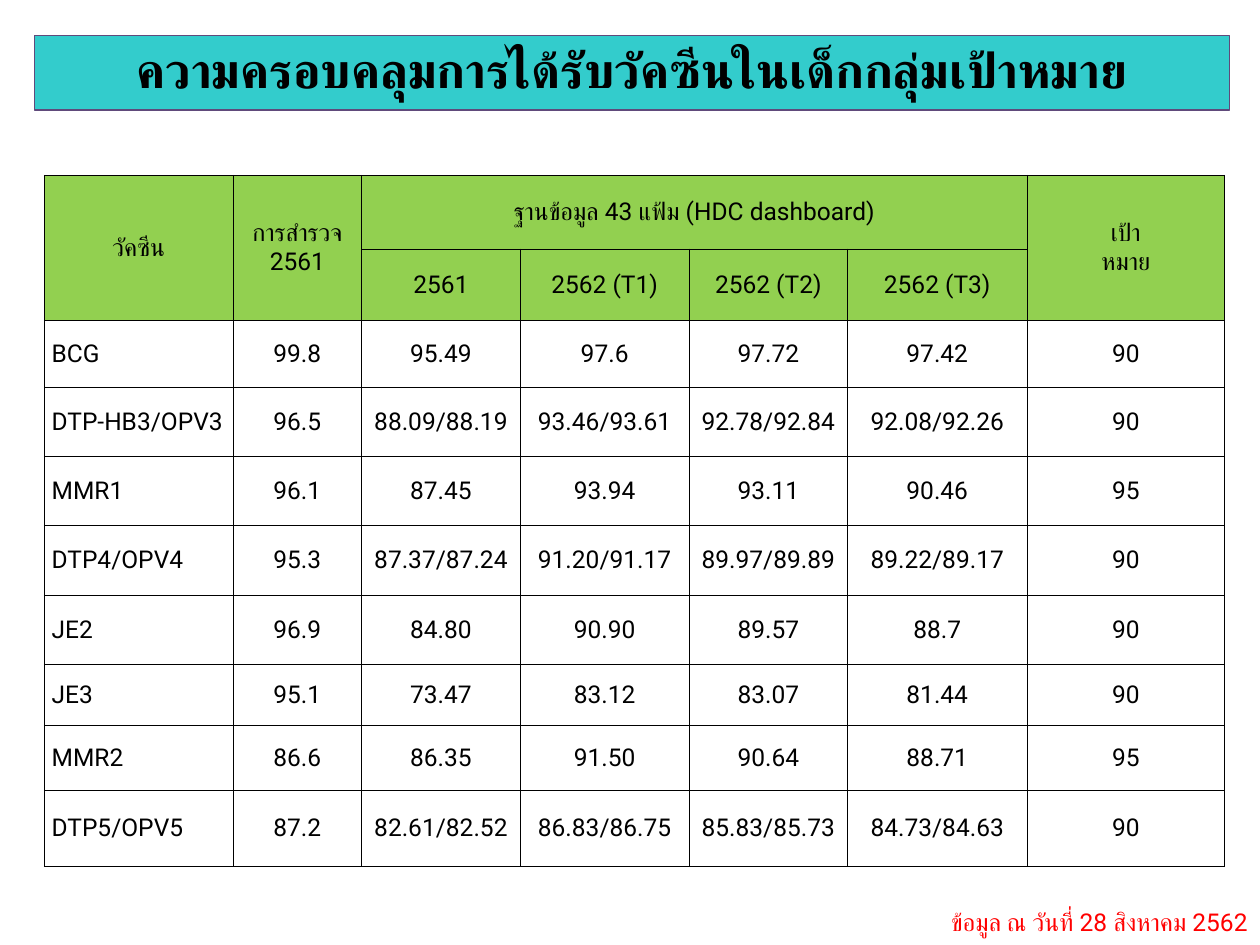
from lxml import etree
from pptx import Presentation
from pptx import util as u
from pptx.dml.color import RGBColor
from pptx.enum import text
from pptx.oxml import parse_xml
from pptx.oxml.ns import nsdecls, qn

FONT = "Roboto"
CENTER, LEFT, RIGHT = text.PP_ALIGN.CENTER, text.PP_ALIGN.LEFT, text.PP_ALIGN.RIGHT


def color(hex_string):
    return RGBColor.from_string(hex_string)


def write(frame, words, size=14, hex_color="000000", bold=False, align=CENTER, spacing=None):
    """Fill a text frame; a newline starts a paragraph and a vertical tab breaks a line."""
    frame.text = words
    for paragraph in frame.paragraphs:
        paragraph.alignment = align
        paragraph.line_spacing = spacing
        for run in paragraph.runs:
            run.font.name = FONT
            run.font.size = u.Pt(size)
            run.font.bold = bold
            run.font.color.rgb = color(hex_color)
            # Thai letters take the complex-script font
            etree.SubElement(run.font._element, qn("a:cs")).set("typeface", FONT)


presentation = Presentation()
presentation.slide_width, presentation.slide_height = u.Cm(25.4), u.Cm(19.05)
slide = presentation.slides.add_slide(presentation.slide_layouts[5])

# Title banner
title = slide.shapes.title
title.left, title.top, title.width, title.height = u.Cm(0.69), u.Cm(0.72), u.Cm(24.1), u.Cm(1.5)
title.fill.solid()
title.fill.fore_color.rgb = color("33CCCC")
title.line.color.rgb = color("604A7B")
title.line.width = u.Pt(0.75)
write(title.text_frame, "ความครอบคลุมการได้รับวัคซีนในเด็กกลุ่มเป้าหมาย", size=28, bold=True, spacing=0.9)
title.text_frame.auto_size = text.MSO_AUTO_SIZE.NONE
title.text_frame.vertical_anchor = text.MSO_ANCHOR.MIDDLE

# Date of the data
date_box = slide.shapes.add_textbox(u.Cm(13.59), u.Cm(18.16), u.Cm(11.81), u.Cm(0.86))
date_box.text_frame.word_wrap = True
write(date_box.text_frame, "ข้อมูล ณ วันที่ 28 สิงหาคม 2562", hex_color="FF0000", align=RIGHT)

# Coverage table
HEADER_ROWS = 2
rows = [
    ["วัคซีน", "การสำรวจ\n2561", "ฐานข้อมูล 43 แฟ้ม (HDC dashboard)", "", "", "", "เป้า\vหมาย"],
    ["", "", "2561", "2562 (T1)", "2562 (T2)", "2562 (T3)", ""],
    ["BCG", "99.8", "95.49", "97.6", "97.72", "97.42", "90"],
    ["DTP-HB3/OPV3", "96.5", "88.09/88.19", "93.46/93.61", "92.78/92.84", "92.08/92.26", "90"],
    ["MMR1", "96.1", "87.45", "93.94", "93.11", "90.46", "95"],
    ["DTP4/OPV4", "95.3", "87.37/87.24", "91.20/91.17", "89.97/89.89", "89.22/89.17", "90"],
    ["JE2", "96.9", "84.80", "90.90", "89.57", "88.7", "90"],
    ["JE3", "95.1", "73.47", "83.12", "83.07", "81.44", "90"],
    ["MMR2", "86.6", "86.35", "91.50", "90.64", "88.71", "95"],
    ["DTP5/OPV5", "87.2", "82.61/82.52", "86.83/86.75", "85.83/85.73", "84.73/84.63", "90"],
]
column_widths = [3.81, 2.59, 3.2, 3.4, 3.2, 3.61, 3.99]
row_heights = [1.49, 1.3, 1.34, 1.4, 1.4, 1.4, 1.4, 1.22, 1.32, 1.52]

table = slide.shapes.add_table(
    len(rows), len(column_widths), u.Cm(0.89), u.Cm(3.53),
    u.Cm(sum(column_widths)), u.Cm(sum(row_heights)),
).table
table.horz_banding = False
for column, width in zip(table.columns, column_widths):
    column.width = u.Cm(width)
for row, height in zip(table.rows, row_heights):
    row.height = u.Cm(height)

for row_index, values in enumerate(rows):
    is_header = row_index < HEADER_ROWS
    for column_index, value in enumerate(values):
        cell = table.cell(row_index, column_index)
        is_vaccine_name = column_index == 0 and not is_header
        write(cell.text_frame, value, align=LEFT if is_vaccine_name else CENTER)
        cell.vertical_anchor = text.MSO_ANCHOR.MIDDLE
        cell.margin_left = u.Cm(0.15 if is_vaccine_name else 0.03)
        cell.margin_right = u.Cm(0.03)
        cell_properties = cell._tc.get_or_add_tcPr()
        for side in ("lnL", "lnR", "lnT", "lnB"):
            cell_properties.append(parse_xml(
                f'<a:{side} {nsdecls("a")} w="{u.Pt(0.45)}"><a:solidFill>'
                f'<a:srgbClr val="000000"/></a:solidFill></a:{side}>'
            ))
        cell.fill.solid()
        cell.fill.fore_color.rgb = color("92D050" if is_header else "FFFFFF")

for column_index in (0, 1, 6):
    table.cell(0, column_index).merge(table.cell(1, column_index))
table.cell(0, 2).merge(table.cell(0, 5))

presentation.save("out.pptx")
